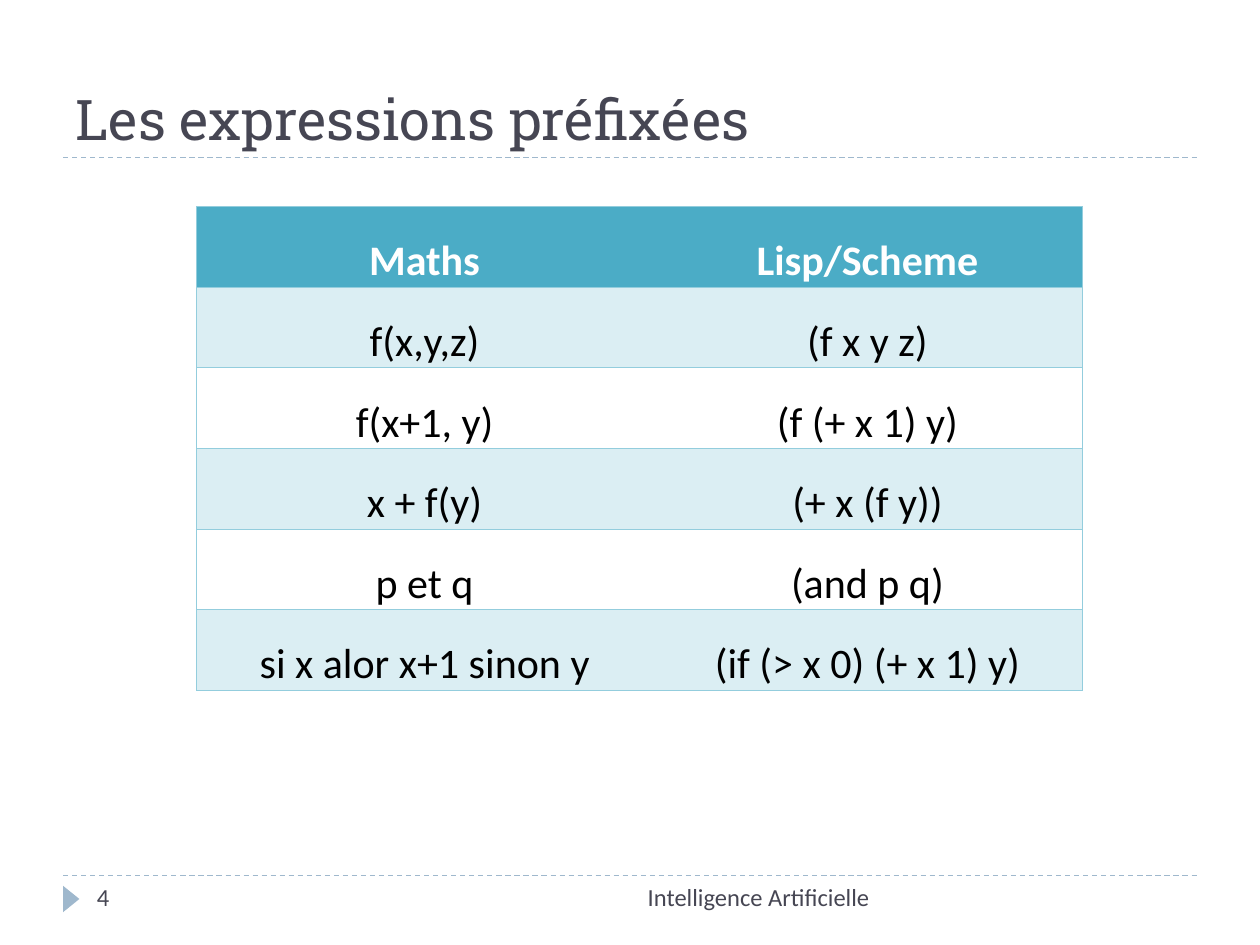
from dataclasses import dataclass

from lxml.etree import SubElement
from pptx import Presentation
from pptx.dml.color import RGBColor
from pptx.enum.dml import MSO_LINE
from pptx.enum.shapes import MSO_CONNECTOR, MSO_SHAPE
from pptx.enum.text import MSO_ANCHOR as Anchor, PP_ALIGN as Align
from pptx.oxml.ns import qn
from pptx.util import Inches, Pt


@dataclass(frozen=True)
class Theme:
    ink: str = "464653"
    accent: str = "9FB8CD"
    header: str = "4BACC6"
    band: str = "DBEEF3"
    border: str = "93CDDD"
    white: str = "FFFFFF"
    black: str = "000000"
    title_font: str = "Roboto Slab"
    body_font: str = "Calibri"
    title_size: int = 32
    table_size: int = 24
    footer_size: int = 14
    rule_width: float = 0.75
    border_width: float = 0.5


def color(value):
    return RGBColor.from_string(value)


def write(frame, text, *, font, size, ink, bold=False, align=Align.LEFT):
    para = frame.paragraphs[0]
    para.alignment = align
    span = para.add_run()
    span.text = text
    span.font.name = font
    span.font.size = Pt(size)
    span.font.bold = bold
    span.font.color.rgb = color(ink)


class Page:
    def __init__(self, slide, theme):
        self.shapes = slide.shapes
        self.theme = theme

    def rule(self, y):
        line = self.shapes.add_connector(
            MSO_CONNECTOR.STRAIGHT, Inches(0.5), Inches(y), Inches(9.5), Inches(y))
        line.line.color.rgb = color(self.theme.accent)
        line.line.width = Pt(self.theme.rule_width)
        line.line.dash_style = MSO_LINE.DASH
        SubElement(line._element.spPr, qn("a:effectLst"))

    def marker(self, left, top, width, height):
        """Small triangle pointing right, beside the page number."""
        shape = self.shapes.add_shape(
            MSO_SHAPE.ISOSCELES_TRIANGLE,
            Inches(left), Inches(top), Inches(width), Inches(height))
        shape.rotation = 90
        shape.shadow.inherit = False
        shape.fill.solid()
        shape.fill.fore_color.rgb = color(self.theme.accent)
        shape.line.fill.background()

    def text(self, text, left, top, width, height, anchor=Anchor.TOP, **style):
        box = self.shapes.add_textbox(
            Inches(left), Inches(top), Inches(width), Inches(height))
        box.text_frame.word_wrap = True
        box.text_frame.vertical_anchor = anchor
        write(box.text_frame, text, **style)

    def footer(self, text, left, width, align=Align.LEFT):
        theme = self.theme
        self.text(text, left, 6.95, width, 0.4, align=align,
                  font=theme.body_font, size=theme.footer_size, ink=theme.ink)

    def border(self, cell, side, visible):
        props = cell._tc.get_or_add_tcPr()
        line = SubElement(props, qn(f"a:ln{side}"), w=str(Pt(self.theme.border_width)))
        if visible:
            fill = SubElement(line, qn("a:solidFill"))
            SubElement(fill, qn("a:srgbClr"), val=self.theme.border)
        else:
            SubElement(line, qn("a:noFill"))

    def cell(self, cell, text, row, outer_side):
        theme = self.theme
        is_header = row == 0
        cell.margin_left = cell.margin_right = cell.margin_top = Inches(0.01)
        cell.margin_bottom = 0
        cell.vertical_anchor = Anchor.BOTTOM
        for side in "LRTB":
            self.border(cell, side, side in "TB" or side == outer_side)
        if is_header or row % 2:
            cell.fill.solid()
            cell.fill.fore_color.rgb = color(theme.header if is_header else theme.band)
        else:
            cell.fill.background()
        write(cell.text_frame, text, font=theme.body_font, size=theme.table_size,
              ink=theme.white if is_header else theme.black,
              bold=is_header, align=Align.CENTER)

    def table(self, rows, left, top, widths, row_height):
        frame = self.shapes.add_table(
            len(rows), len(widths), Inches(left), Inches(top),
            Inches(sum(widths)), Inches(row_height * len(rows)))
        table = frame.table
        table.horz_banding = False
        for column, width in zip(table.columns, widths):
            column.width = Inches(width)
        for index, texts in enumerate(rows):
            table.rows[index].height = Inches(row_height)
            for position, (text, side) in enumerate(zip(texts, "LR")):
                self.cell(table.cell(index, position), text, index, side)


EXPRESSIONS = [
    ("Maths", "Lisp/Scheme"),
    ("f(x,y,z)", "(f x y z)"),
    ("f(x+1, y)", "(f (+ x 1) y)"),
    ("x + f(y)", "(+ x (f y))"),
    ("p et q", "(and p q)"),
    ("si x alor x+1 sinon y", "(if (> x 0) (+ x 1) y)"),
]


def main():
    deck = Presentation()
    deck.slide_width, deck.slide_height = Inches(10), Inches(7.5)
    theme = Theme()
    page = Page(deck.slides.add_slide(deck.slide_layouts[6]), theme)

    for y in (6.95, 1.25):
        page.rule(y)
    page.marker(0.46, 7.07, 0.21, 0.13)
    page.text("Les expressions préfixées", 0.5, 0.17, 9, 1.08, Anchor.BOTTOM,
              font=theme.title_font, size=theme.title_size, ink=theme.ink)
    page.footer("Intelligence Artificielle", 3.17, 3.83, Align.RIGHT)
    page.footer("4", 0.67, 2.17)
    page.table(EXPRESSIONS, 1.56, 1.64, (3.62, 3.41), 0.64)

    deck.save("out.pptx")


if __name__ == "__main__":
    main()
